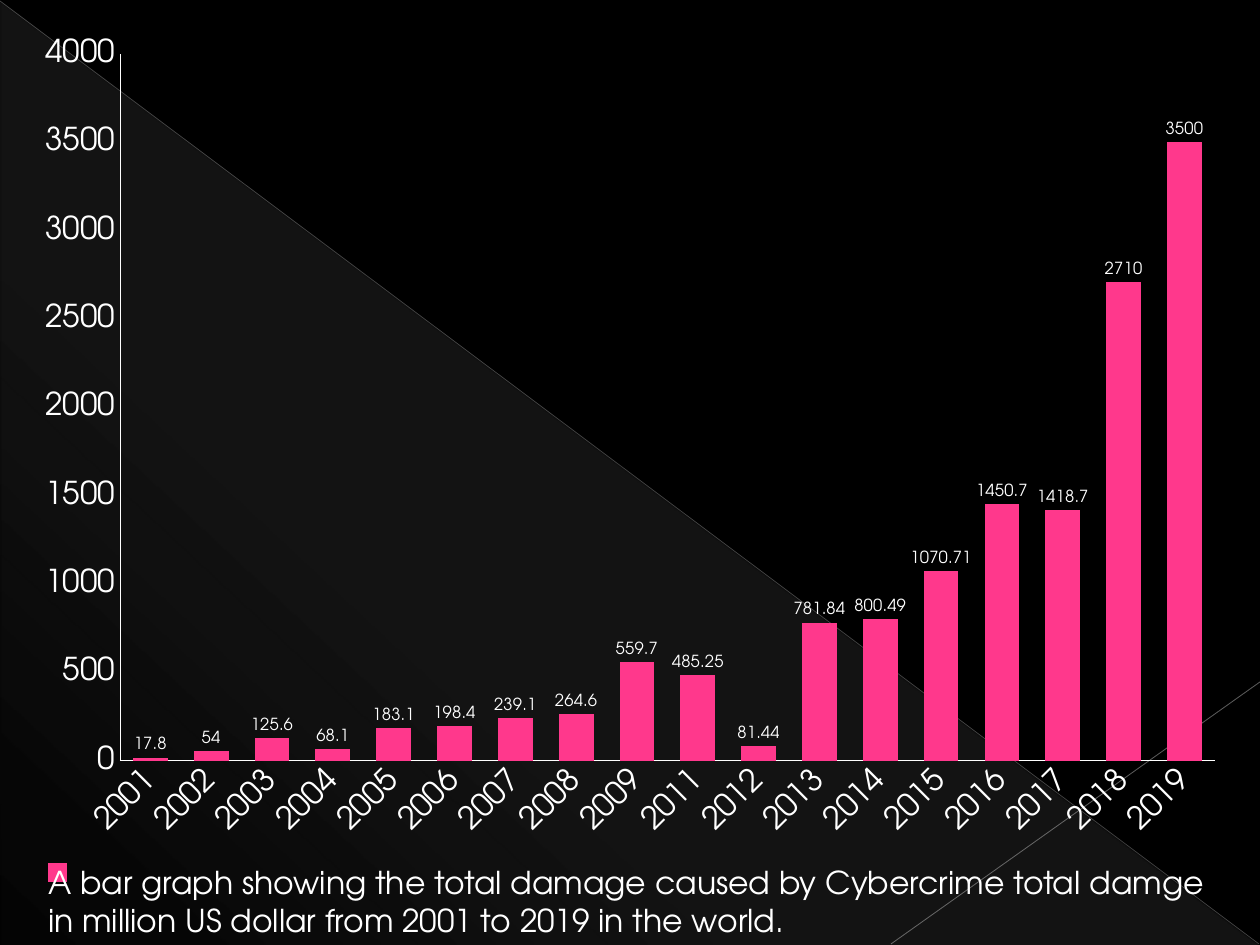
from lxml import etree
from pptx import Presentation
from pptx.chart.data import CategoryChartData
from pptx.dml.color import RGBColor
from pptx.enum.chart import XL_CHART_TYPE, XL_LABEL_POSITION, XL_TICK_MARK
from pptx.enum.shapes import MSO_CONNECTOR, MSO_SHAPE
from pptx.oxml import parse_xml
from pptx.oxml.ns import nsdecls, qn
from pptx.util import Emu, Pt

COLUMN_CLUSTERED = XL_CHART_TYPE.COLUMN_CLUSTERED
OUTSIDE_END = XL_LABEL_POSITION.OUTSIDE_END
NO_TICK = XL_TICK_MARK.NONE
STRAIGHT = MSO_CONNECTOR.STRAIGHT
RECTANGLE = MSO_SHAPE.RECTANGLE
RIGHT_TRIANGLE = MSO_SHAPE.RIGHT_TRIANGLE

EMU_PER_PX = 914400 // 126
WIDTH, HEIGHT = 1260, 945
FONT = "TeX Gyre Adventor"
COLORS = {
    "background": "000000",
    "triangle": "D2D2D2",
    "long_line": "BFBFBF",
    "short_line": "C6C6C6",
    "text": "FFFFFF",
    "bar": "FF388C",
}
CAPTION = (
    "A bar graph showing the total damage caused by Cybercrime total damge "
    "in million US dollar from 2001 to 2019 in the world."
)
DAMAGE = {
    "2001": 17.8, "2002": 54, "2003": 125.6, "2004": 68.1, "2005": 183.1, "2006": 198.4,
    "2007": 239.1, "2008": 264.6, "2009": 559.7, "2011": 485.25, "2012": 81.44,
    "2013": 781.84, "2014": 800.49, "2015": 1070.71, "2016": 1450.7, "2017": 1418.7,
    "2018": 2710, "2019": 3500,
}


def px(*lengths):
    return [Emu(length * EMU_PER_PX) for length in lengths]


def color(name):
    return RGBColor.from_string(COLORS[name])


def style_font(font, size):
    font.name = FONT
    font.size = Pt(size)
    font.bold = False
    font.color.rgb = color("text")


def add_faint_line(slide, points, color_name, width, opacity):
    connector = slide.shapes.add_connector(STRAIGHT, *px(*points))
    connector.line.color.rgb = color(color_name)
    connector.line.width = Pt(width)
    properties = connector._element.spPr
    shade = properties.find(".//" + qn("a:srgbClr"))
    etree.SubElement(shade, qn("a:alpha"), val=str(opacity * 1000))
    etree.SubElement(properties, qn("a:effectLst"))


def add_backdrop(slide, left, top, width, height):
    right, bottom = left + width, top + height
    slide.background.fill.solid()
    slide.background.fill.fore_color.rgb = color("background")
    triangle = slide.shapes.add_shape(
        RIGHT_TRIANGLE, *px(left + 1, top + 2, width - 2, height - 2)
    )
    triangle.shadow.inherit = False
    triangle.line.fill.background()
    stops = "".join(
        f'<a:gs pos="{position * 1000}"><a:srgbClr val="{COLORS["triangle"]}">'
        f'<a:alpha val="{opacity * 1000}"/></a:srgbClr></a:gs>'
        for position, opacity in ((0, 10), (70, 8), (100, 1))
    )
    gradient = parse_xml(
        f'<a:gradFill {nsdecls("a")} rotWithShape="1"><a:gsLst>{stops}</a:gsLst>'
        f'<a:lin ang="{133 * 60000}" scaled="0"/></a:gradFill>'
    )
    triangle._element.spPr.find(qn("a:prstGeom")).addnext(gradient)
    add_faint_line(slide, (left, top + 1, right - 1, bottom - 1), "long_line", 0.39, 35)
    add_faint_line(slide, (right, top + 682, left + 891, bottom - 1), "short_line", 0.47, 45)


def make_inner_layout(box, frame):
    values = "".join(
        f'<c:{name} val="{length / total:.4f}"/>'
        for name, length, total in zip("xywh", box, frame * 2)
    )
    return parse_xml(
        f'<c:layout {nsdecls("c")}><c:manualLayout><c:layoutTarget val="inner"/>'
        f'<c:xMode val="edge"/><c:yMode val="edge"/>{values}'
        "</c:manualLayout></c:layout>"
    )


def style_axis(axis):
    axis.has_major_gridlines = False
    axis.major_tick_mark = NO_TICK
    axis.minor_tick_mark = NO_TICK
    axis.format.line.color.rgb = color("text")
    axis.format.line.width = Pt(0.5)
    style_font(axis.tick_labels.font, 18)


def add_damage_chart(slide, left, top, width, height):
    data = CategoryChartData()
    data.categories = list(DAMAGE)
    data.add_series(CAPTION, list(DAMAGE.values()))
    chart = slide.shapes.add_chart(
        COLUMN_CLUSTERED, *px(left, top, width, height), data
    ).chart
    chart.has_title = False
    chart.has_legend = False
    style_font(chart.font, 18)

    style_axis(chart.category_axis)
    style_axis(chart.value_axis)
    chart.value_axis.minimum_scale = 0
    chart.value_axis.maximum_scale = 4000
    chart.value_axis.major_unit = 500
    label_body = chart.category_axis._element.find(qn("c:txPr")).find(qn("a:bodyPr"))
    label_body.set("rot", str(-45 * 60000))
    label_body.set("vert", "horz")

    plot = chart.plots[0]
    plot.gap_width = 75
    plot.vary_by_categories = False
    series = plot.series[0]
    series.format.fill.solid()
    series.format.fill.fore_color.rgb = color("bar")
    labels = series.data_labels
    labels.show_value = True
    labels.position = OUTSIDE_END
    style_font(labels.font, 9.5)

    plot_area = chart._chartSpace.find(".//" + qn("c:plotArea"))
    for layout in plot_area.findall(qn("c:layout")):
        plot_area.remove(layout)
    plot_area.insert(0, make_inner_layout((99, 33, 1095, 707), (width, height)))


def add_caption(slide, left, top, width, height):
    key = slide.shapes.add_shape(RECTANGLE, *px(left, top, 19, 19))
    key.shadow.inherit = False
    key.fill.solid()
    key.fill.fore_color.rgb = color("bar")
    key.line.fill.background()

    text_frame = slide.shapes.add_textbox(*px(left, top, width, height)).text_frame
    text_frame.word_wrap = True
    text_frame.margin_left = text_frame.margin_right = 0
    text_frame.margin_top = text_frame.margin_bottom = 0
    text_frame.text = CAPTION
    style_font(text_frame.paragraphs[0].runs[0].font, 18)


def main():
    presentation = Presentation()
    presentation.slide_width, presentation.slide_height = px(WIDTH, HEIGHT)
    slide = presentation.slides.add_slide(presentation.slide_layouts[6])
    add_backdrop(slide, 0, 0, WIDTH, HEIGHT)
    add_damage_chart(slide, 21, 21, 1218, 903)
    add_caption(slide, 48, 863, 1180, 60)
    presentation.save("out.pptx")


if __name__ == "__main__":
    main()
